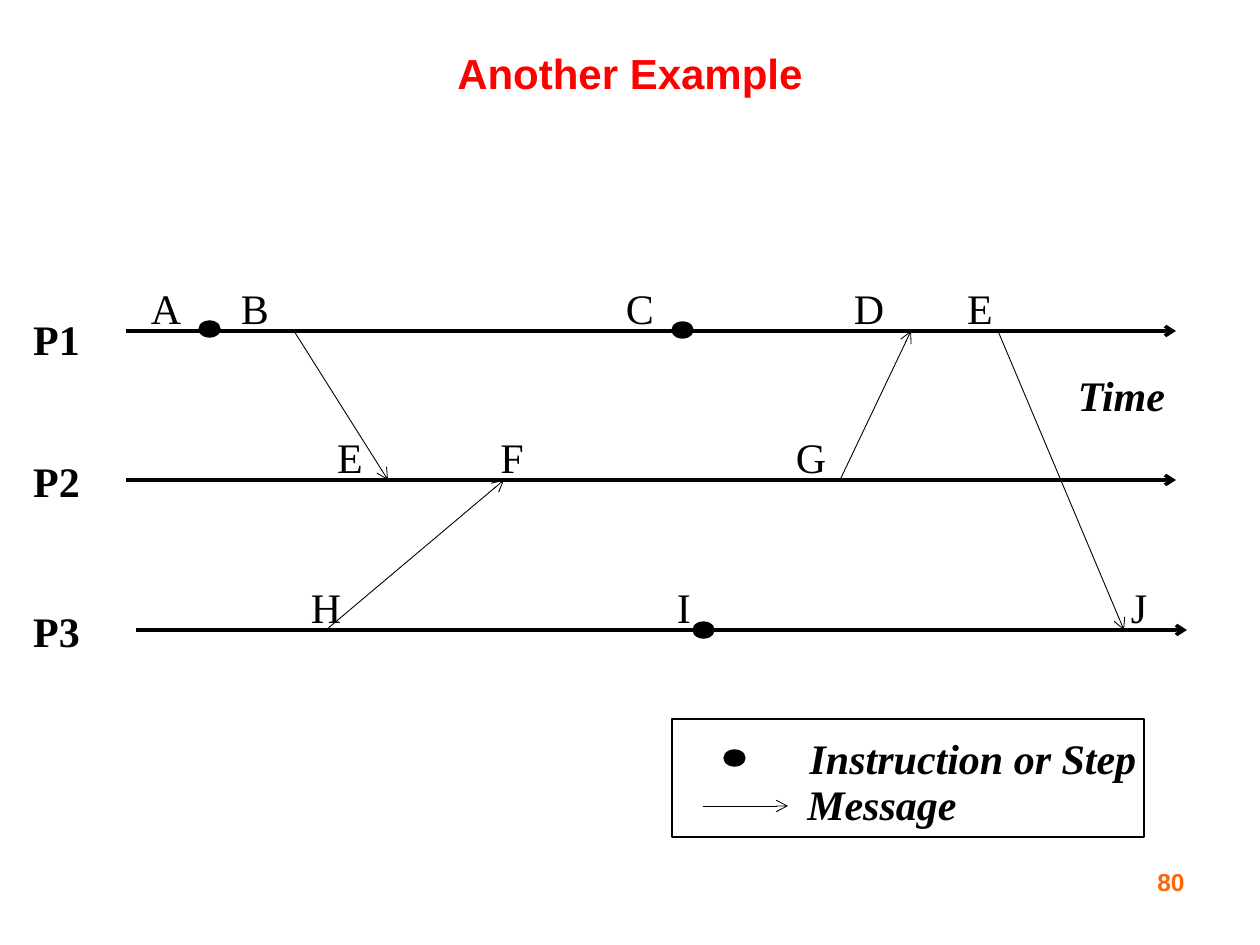
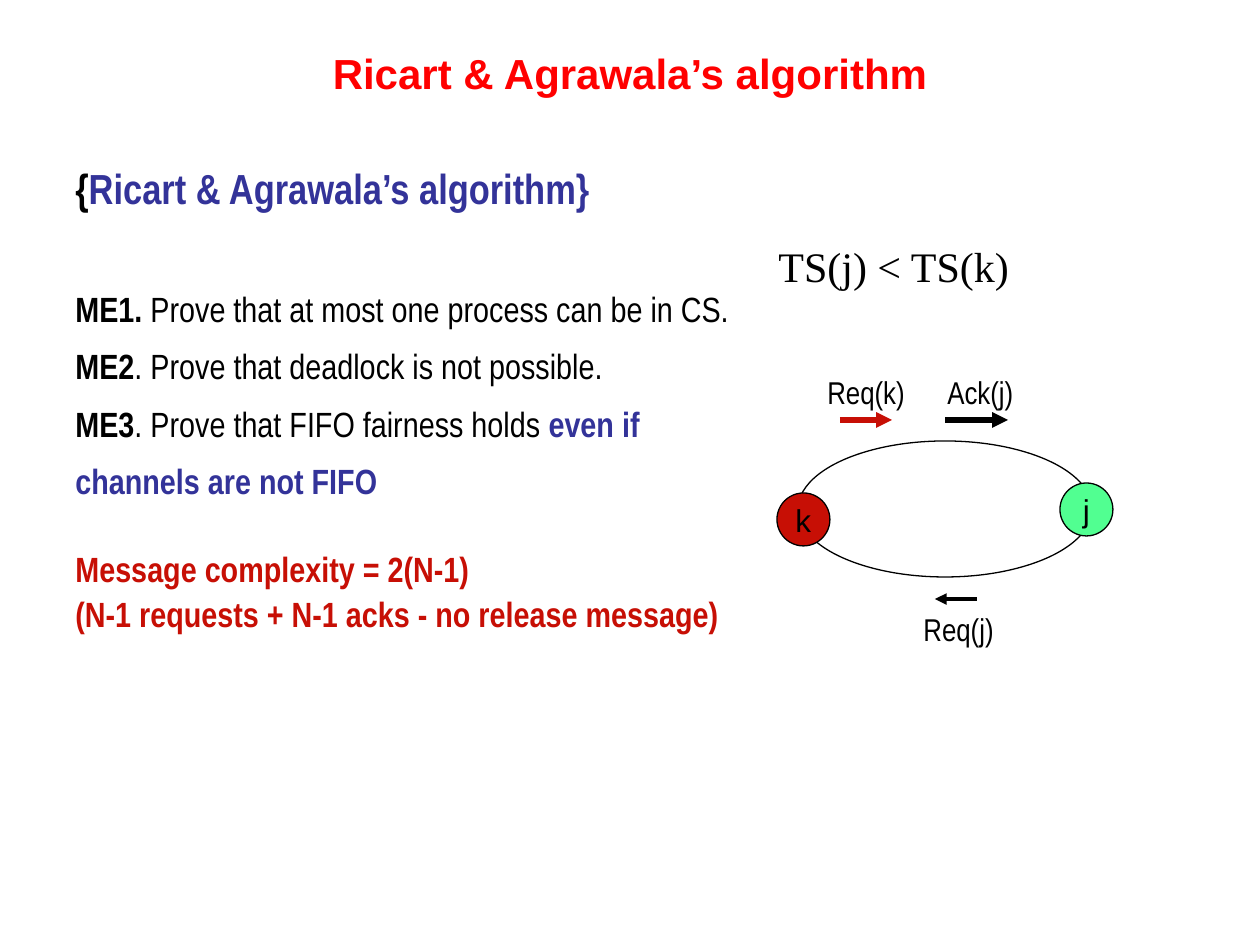
from lxml.etree import SubElement
from pptx import Presentation
from pptx.dml.color import RGBColor
from pptx.enum.shapes import MSO_CONNECTOR, MSO_SHAPE
from pptx.enum.text import MSO_ANCHOR, PP_ALIGN
from pptx.oxml.ns import qn
from pptx.util import Pt

PX = 914400 / 126
BLACK = RGBColor(0, 0, 0)
TITLE_RED = RGBColor(255, 0, 0)
ORANGE = RGBColor(255, 102, 0)
BLUE = RGBColor(51, 51, 153)
CRIMSON = RGBColor(199, 15, 5)
GREEN = RGBColor(81, 255, 145)
SERIF, SANS, NARROW = "Times New Roman", "Arial", "Arial Narrow"


def px(*lengths):
    return [round(length * PX) for length in lengths]


def add_run(para, text, face, size, color=BLACK, bold=False, italic=False):
    span = para.add_run()
    span.text = text
    span.font.name = face
    span.font.size = Pt(size)
    span.font.color.rgb = color
    span.font.bold = bold
    span.font.italic = italic


deck = Presentation()
deck.slide_width, deck.slide_height = px(1260, 945)
timeline, algorithm = [deck.slides.add_slide(deck.slide_layouts[6]) for _ in range(2)]

arrows = [
    (timeline, 126, 331, 1176, 331, BLACK, 2, "arrow"),
    (timeline, 126, 480, 1176, 480, BLACK, 2, "arrow"),
    (timeline, 136, 630, 1187, 630, BLACK, 2, "arrow"),
    (timeline, 294, 331, 388, 480, BLACK, 0.5, "arrow"),
    (timeline, 326, 630, 504, 480, BLACK, 0.5, "arrow"),
    (timeline, 840, 480, 911, 331, BLACK, 0.5, "arrow"),
    (timeline, 998, 331, 1124, 630, BLACK, 0.5, "arrow"),
    (timeline, 703, 806, 788, 806, BLACK, 0.5, "arrow"),
    (algorithm, 840, 420, 892, 420, CRIMSON, 3, "triangle"),
    (algorithm, 945, 420, 1008, 420, BLACK, 3, "triangle"),
    (algorithm, 977, 599, 935, 599, BLACK, 2.25, "triangle"),
]
for page, x1, y1, x2, y2, color, weight, head in arrows:
    arrow = page.shapes.add_connector(MSO_CONNECTOR.STRAIGHT, *px(x1, y1, x2, y2))
    arrow.line.color.rgb = color
    arrow.line.width = Pt(weight)
    SubElement(arrow.line._get_or_add_ln(), qn("a:tailEnd"), type=head)
    SubElement(arrow._element.spPr, qn("a:effectLst"))

dots = [(199, 321), (672, 322), (693, 622), (724, 750)]
outlines = [(timeline, MSO_SHAPE.OVAL, x, y, 21, 16, BLACK, "") for x, y in dots]
outlines += [
    (timeline, MSO_SHAPE.RECTANGLE, 672, 719, 472, 118, None, ""),
    (algorithm, MSO_SHAPE.OVAL, 798, 441, 294, 136, None, ""),
    (algorithm, MSO_SHAPE.OVAL, 777, 493, 53, 53, CRIMSON, "k"),
    (algorithm, MSO_SHAPE.OVAL, 1060, 483, 53, 53, GREEN, "j"),
]
for page, kind, left, top, width, height, fill, letter in outlines:
    shape = page.shapes.add_shape(kind, *px(left, top, width, height))
    shape.shadow.inherit = False
    shape.line.color.rgb = BLACK
    shape.line.width = Pt(0.75)
    if fill is None:
        shape.fill.background()
    else:
        shape.fill.solid()
        shape.fill.fore_color.rgb = fill
    if letter:
        shape.text_frame.word_wrap = False
        shape.text_frame.vertical_anchor = MSO_ANCHOR.MIDDLE
        para = shape.text_frame.paragraphs[0]
        para.alignment = PP_ALIGN.CENTER
        add_run(para, letter, SANS, 18)

for page, title in [(timeline, "Another Example"), (algorithm, "Ricart & Agrawala’s algorithm")]:
    box = page.shapes.add_textbox(*px(63, 10, 1134, 126))
    box.text_frame.word_wrap = True
    box.text_frame.vertical_anchor = MSO_ANCHOR.MIDDLE
    para = box.text_frame.paragraphs[0]
    para.alignment = PP_ALIGN.CENTER
    add_run(para, title, SANS, 24, TITLE_RED, True)

event_rows = [
    (276, [("A", 166), ("B", 255), ("C", 640), ("D", 869), ("E", 980)]),
    (425, [("E", 350), ("F", 512), ("G", 811)]),
    (575, [("H", 326), ("I", 684), ("J", 1139)]),
]
labels = [
    (timeline, center - 30, top, 60, PP_ALIGN.CENTER, event, SERIF, 24)
    for top, events in event_rows
    for event, center in events
]
labels += [
    (timeline, 20, top, 73, PP_ALIGN.CENTER, process, SERIF, 24, BLACK, True)
    for process, top in [("P1", 307), ("P2", 449), ("P3", 599)]
]
labels += [
    (timeline, 1065, 363, 113, PP_ALIGN.CENTER, "Time", SERIF, 24, BLACK, True, True),
    (timeline, 794, 726, 358, PP_ALIGN.CENTER, "Instruction or Step", SERIF, 24, BLACK, True, True),
    (timeline, 794, 772, 176, PP_ALIGN.CENTER, "Message", SERIF, 24, BLACK, True, True),
    (timeline, 903, 861, 294, PP_ALIGN.RIGHT, "80", SANS, 14, ORANGE, True),
    (algorithm, 766, 234, 260, PP_ALIGN.LEFT, "TS(j) < TS(k)", SERIF, 24),
    (algorithm, 815, 367, 103, PP_ALIGN.LEFT, "Req(k)", NARROW, 18),
    (algorithm, 935, 367, 92, PP_ALIGN.LEFT, "Ack(j)", NARROW, 18),
    (algorithm, 911, 604, 96, PP_ALIGN.LEFT, "Req(j)", NARROW, 18),
]
for page, left, top, width, align, *style in labels:
    box = page.shapes.add_textbox(*px(left, top, width, 63))
    box.text_frame.word_wrap = False
    para = box.text_frame.paragraphs[0]
    para.alignment = align
    add_run(para, *style)

proof_lines = [
    (1.2, 0, 24, [("{", BLACK, True), ("Ricart & Agrawala’s algorithm}", BLUE, True)]),
    (1.2, 38, 20, [("ME1. ", BLACK, True), ("Prove that at most one process can be in CS.", BLACK, False)]),
    (1.2, 4, 20, [("ME2", BLACK, True), (". Prove that deadlock is not possible.", BLACK, False)]),
    (1.2, 4, 20, [("ME3", BLACK, True), (". Prove that FIFO fairness holds ", BLACK, False),
                  ("even if ", BLUE, True)]),
    (1.2, 4, 20, [("channels are not FIFO", BLUE, True)]),
    (0.9, 29, 20, [("Message complexity = 2(N-1)", CRIMSON, True)]),
    (0.9, 4, 20, [("(N-1 requests + N-1 acks - no release message)", CRIMSON, True)]),
]
box = algorithm.shapes.add_textbox(*px(63, 146, 1134, 677))
box.text_frame.word_wrap = True
for number, (spacing, before, size, spans) in enumerate(proof_lines):
    para = box.text_frame.add_paragraph() if number else box.text_frame.paragraphs[0]
    para.alignment = PP_ALIGN.JUSTIFY
    para.line_spacing = spacing
    para.space_before = Pt(before)
    for text, color, bold in spans:
        add_run(para, text, NARROW, size, color, bold)

deck.save("out.pptx")
